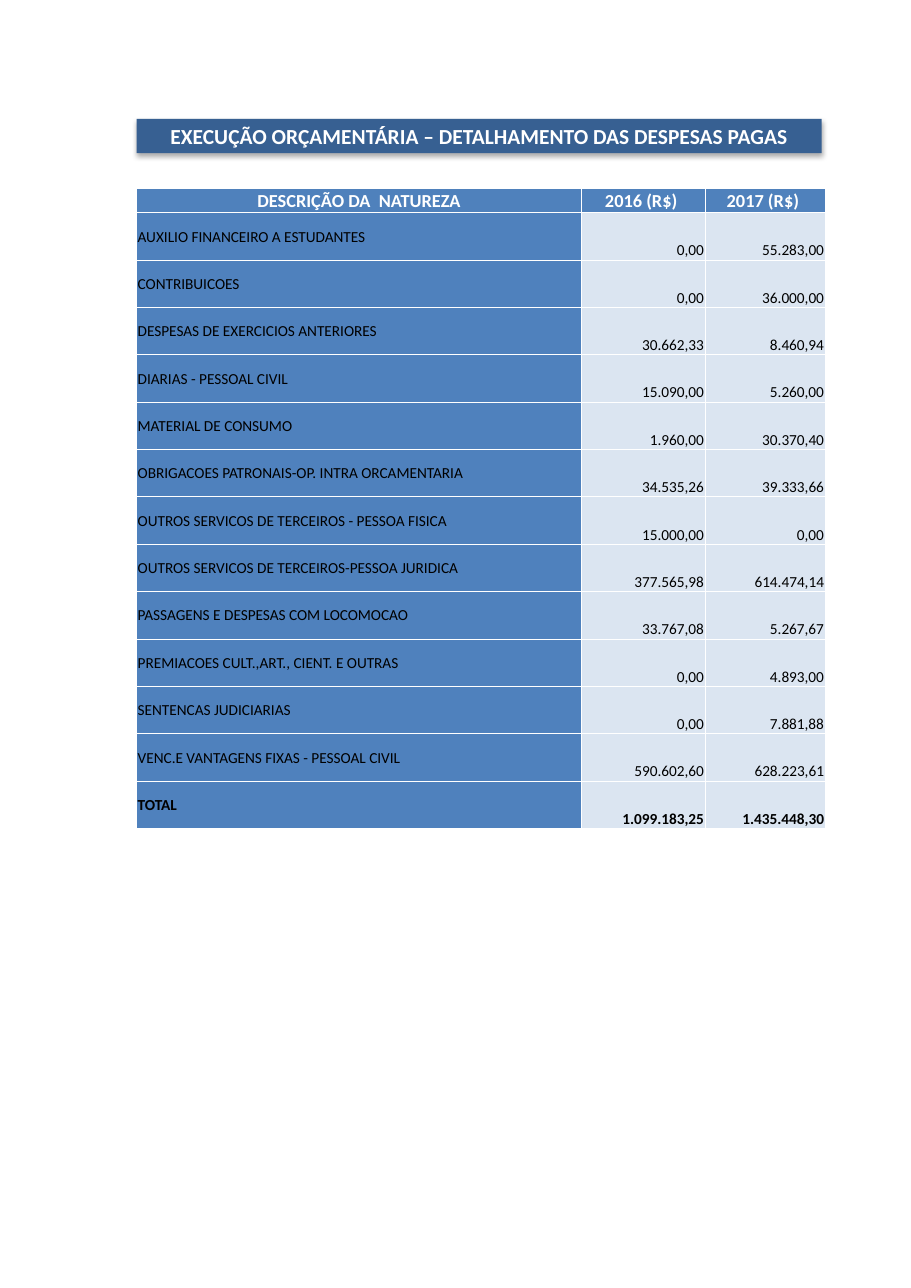
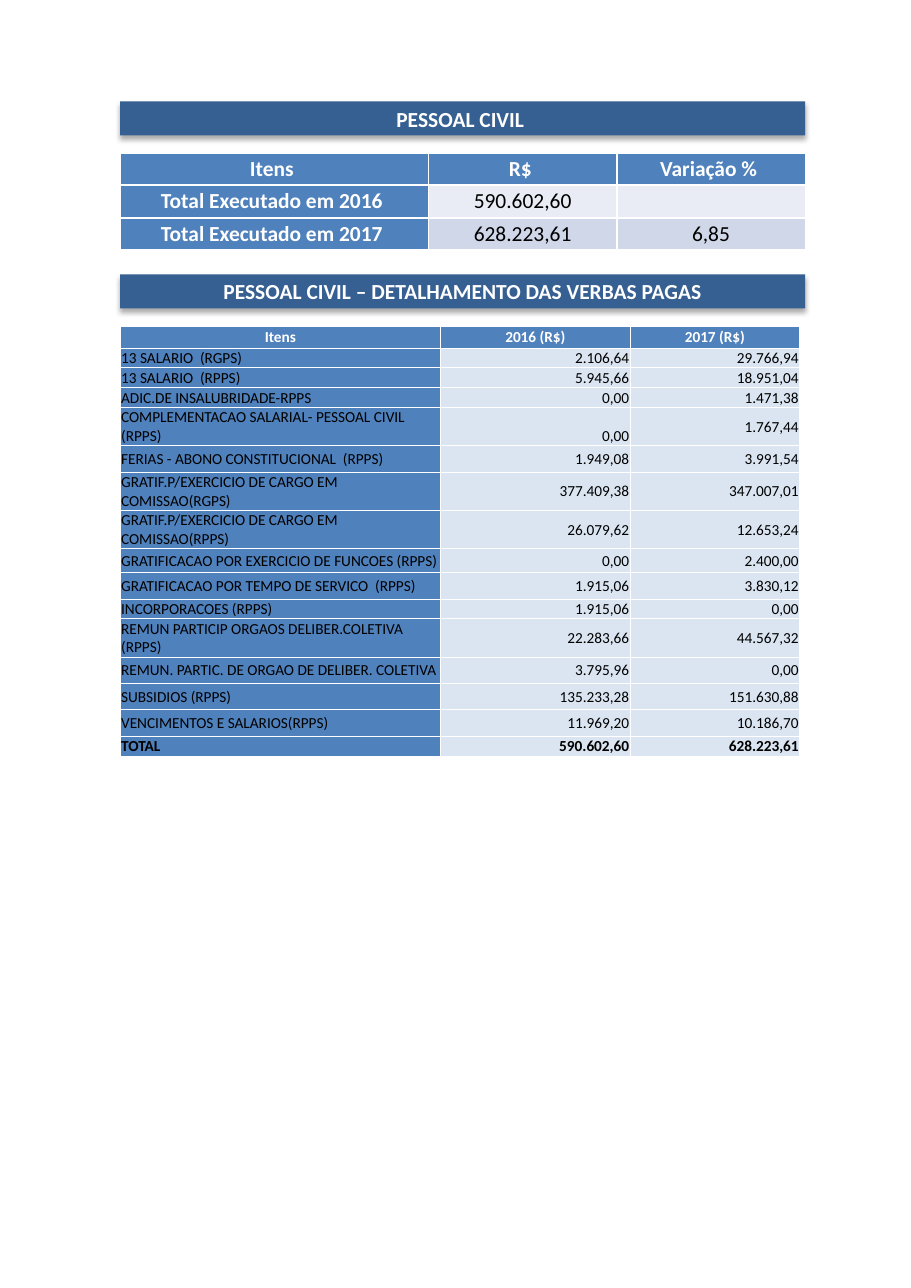
"""Build two budget slides with title bands and expense tables."""
from dataclasses import dataclass

from lxml.etree import SubElement
from pptx import Presentation
from pptx.dml.color import RGBColor
from pptx.enum.shapes import MSO_SHAPE
from pptx.enum.text import MSO_ANCHOR, PP_ALIGN
from pptx.oxml.ns import qn
from pptx.slide import Slide
from pptx.table import _Cell
from pptx.util import Inches, Pt

COLORS = {
    "band": "376092", "header": "4F81BC", "label": "4F81BD", "value": "DBE5F1",
    "odd": "E9ECF4", "even": "D0D7E8", "white": "FFFFFF", "black": "000000",
}
FONT = "Calibri"
BAND_WIDTH, BAND_HEIGHT = 6.22, 0.31
SHADOW = {"blurRad": Pt(3.5), "dist": Pt(2.2), "dir": 5400000, "algn": "ctr", "rotWithShape": 0}


@dataclass(frozen=True)
class Band:
    text: str
    left: float
    top: float


@dataclass(frozen=True)
class TableStyle:
    header_size: int
    body_size: int
    inset: float
    line: float
    header_line: float
    header_fill: str
    label_fill: str
    value_fills: tuple[str, ...]
    label_color: str
    label_bold: bool
    label_align: PP_ALIGN
    value_align: PP_ALIGN
    value_anchor: MSO_ANCHOR


@dataclass(frozen=True)
class TableSpec:
    left: float
    top: float
    columns: tuple[float, ...]
    heights: tuple[float, ...]
    rows: tuple[tuple[str, ...], ...]
    style: TableStyle
    bottom_cells: frozenset[tuple[int, int]] = frozenset()


def color(name: str) -> RGBColor:
    return RGBColor.from_string(COLORS[name])


def write(frame, text: str, size: int, ink: str, bold: bool, align: PP_ALIGN) -> None:
    para = frame.paragraphs[0]
    para.alignment = align
    span = para.add_run()
    span.text = text
    formats = {"name": FONT, "size": Pt(size), "bold": bold}
    for name, value in formats.items():
        setattr(span.font, name, value)
    span.font.color.rgb = color(ink)


def draw_band(page: Slide, band: Band) -> None:
    box = page.shapes.add_shape(
        MSO_SHAPE.RECTANGLE, Inches(band.left), Inches(band.top),
        Inches(BAND_WIDTH), Inches(BAND_HEIGHT))
    box.fill.solid()
    box.fill.fore_color.rgb = color("band")
    box.line.fill.background()
    box.shadow.inherit = False
    effects = box._element.spPr.find(qn("a:effectLst"))
    shadow = SubElement(effects, qn("a:outerShdw"),
                        {name: str(value) for name, value in SHADOW.items()})
    tint = SubElement(shadow, qn("a:srgbClr"), val=COLORS["black"])
    SubElement(tint, qn("a:alpha"), val="32000")
    box.text_frame.word_wrap = True
    box.text_frame.vertical_anchor = MSO_ANCHOR.MIDDLE
    write(box.text_frame, band.text, 14, "white", True, PP_ALIGN.CENTER)


def draw_borders(cell: _Cell, top: float, bottom: float, side: float) -> None:
    properties = cell._tc.get_or_add_tcPr()
    for edge, width in {"L": side, "R": side, "T": top, "B": bottom}.items():
        line = SubElement(properties, qn(f"a:ln{edge}"), w=str(Pt(width)))
        fill = SubElement(line, qn("a:solidFill"))
        SubElement(fill, qn("a:srgbClr"), val=COLORS["white"])


def format_cell(cell: _Cell, text: str, row: int, column: int, spec: TableSpec) -> None:
    style = spec.style
    is_total = spec.rows[row][0] == "TOTAL"
    size, ink, bold = style.body_size, "black", is_total
    if row == 0:
        size, ink, bold = style.header_size, "white", True
        fill, align, anchor = style.header_fill, PP_ALIGN.CENTER, MSO_ANCHOR.MIDDLE
    elif column == 0:
        ink, bold = style.label_color, style.label_bold or is_total
        fill, align, anchor = style.label_fill, style.label_align, MSO_ANCHOR.MIDDLE
    else:
        fill = style.value_fills[(row - 1) % len(style.value_fills)]
        align, anchor = style.value_align, style.value_anchor
    if (row, column) in spec.bottom_cells:
        anchor = MSO_ANCHOR.BOTTOM
    inset = Inches(style.inset)
    formats = {"margin_left": inset, "margin_top": inset, "margin_right": inset,
               "margin_bottom": 0, "vertical_anchor": anchor}
    for name, value in formats.items():
        setattr(cell, name, value)
    draw_borders(cell, style.header_line if row == 1 else style.line,
                 style.header_line if row == 0 else style.line, style.line)
    cell.fill.solid()
    cell.fill.fore_color.rgb = color(fill)
    write(cell.text_frame, text, size, ink, bold, align)


def draw_table(page: Slide, spec: TableSpec) -> None:
    table = page.shapes.add_table(
        len(spec.rows), len(spec.columns), Inches(spec.left), Inches(spec.top),
        Inches(sum(spec.columns)), Inches(sum(spec.heights))).table
    for column, width in zip(table.columns, spec.columns):
        column.width = Inches(width)
    for row, height in zip(table.rows, spec.heights):
        row.height = Inches(height)
    for row, texts in enumerate(spec.rows):
        for column, text in enumerate(texts):
            format_cell(table.cell(row, column), text, row, column, spec)


def ledger_style(header_size: int, header_fill: str, anchor: MSO_ANCHOR) -> TableStyle:
    return TableStyle(header_size, 10, 0.01, 0.5, 0.5, header_fill, "label", ("value",),
                      "black", False, PP_ALIGN.LEFT, PP_ALIGN.RIGHT, anchor)


SUMMARY_STYLE = TableStyle(14, 14, 0, 1, 1.5, "header", "header", ("odd", "even"), "white",
                           True, PP_ALIGN.CENTER, PP_ALIGN.CENTER, MSO_ANCHOR.MIDDLE)

EXPENSES = TableSpec(
    1.24, 1.71, (4.04, 1.12, 1.09), (0.22,) + (0.43,) * 13,
    (
        ("DESCRIÇÃO DA  NATUREZA", "2016 (R$) ", "2017 (R$) "),
        ("AUXILIO FINANCEIRO A ESTUDANTES", "0,00", "55.283,00"),
        ("CONTRIBUICOES", "0,00", "36.000,00"),
        ("DESPESAS DE EXERCICIOS ANTERIORES", "30.662,33", "8.460,94"),
        ("DIARIAS - PESSOAL CIVIL", "15.090,00", "5.260,00"),
        ("MATERIAL DE CONSUMO", "1.960,00", "30.370,40"),
        ("OBRIGACOES PATRONAIS-OP. INTRA ORCAMENTARIA", "34.535,26", "39.333,66"),
        ("OUTROS SERVICOS DE TERCEIROS - PESSOA FISICA", "15.000,00", "0,00"),
        ("OUTROS SERVICOS DE TERCEIROS-PESSOA JURIDICA", "377.565,98", "614.474,14"),
        ("PASSAGENS E DESPESAS COM LOCOMOCAO", "33.767,08", "5.267,67"),
        ("PREMIACOES CULT.,ART., CIENT. E OUTRAS", "0,00", "4.893,00"),
        ("SENTENCAS JUDICIARIAS", "0,00", "7.881,88"),
        ("VENC.E VANTAGENS FIXAS - PESSOAL CIVIL", "590.602,60", "628.223,61"),
        ("TOTAL", "1.099.183,25", "1.435.448,30"),
    ),
    ledger_style(12, "header", MSO_ANCHOR.BOTTOM))

STAFF_SUMMARY = TableSpec(
    1.09, 1.39, (2.8, 1.71, 1.71), (0.29, 0.3, 0.29),
    (
        ("Itens ", "R$ ", "Variação % "),
        ("Total Executado em 2016 ", "590.602,60", ""),
        ("Total Executado em 2017 ", "628.223,61", "6,85"),
    ),
    SUMMARY_STYLE)

STAFF_PAYMENTS = TableSpec(
    1.09, 2.96, (2.91, 1.72, 1.54),
    (0.2,) + (0.16,) * 3 + (0.24,) * 3 + (0.16, 0.22, 0.24, 0.16) + (0.24,) * 4 + (0.16,),
    (
        ("Itens", "2016 (R$)", "2017 (R$)"),
        ("13 SALARIO  (RGPS)", "2.106,64", "29.766,94"),
        ("13 SALARIO  (RPPS)", "5.945,66", "18.951,04"),
        ("ADIC.DE INSALUBRIDADE-RPPS", "0,00", "1.471,38"),
        ("COMPLEMENTACAO SALARIAL- PESSOAL CIVIL (RPPS)", "0,00", "1.767,44"),
        ("FERIAS - ABONO CONSTITUCIONAL  (RPPS)", "1.949,08", "3.991,54"),
        ("GRATIF.P/EXERCICIO DE CARGO EM COMISSAO(RGPS)", "377.409,38", "347.007,01"),
        ("GRATIF.P/EXERCICIO DE CARGO EM COMISSAO(RPPS)", "26.079,62", "12.653,24"),
        ("GRATIFICACAO POR EXERCICIO DE FUNCOES (RPPS)", "0,00", "2.400,00"),
        ("GRATIFICACAO POR TEMPO DE SERVICO  (RPPS)", "1.915,06", "3.830,12"),
        ("INCORPORACOES (RPPS)", "1.915,06", "0,00"),
        ("REMUN PARTICIP ORGAOS DELIBER.COLETIVA (RPPS)", "22.283,66", "44.567,32"),
        ("REMUN. PARTIC. DE ORGAO DE DELIBER. COLETIVA", "3.795,96", "0,00"),
        ("SUBSIDIOS (RPPS)", "135.233,28", "151.630,88"),
        ("VENCIMENTOS E SALARIOS(RPPS)", "11.969,20", "10.186,70"),
        ("TOTAL", "590.602,60", "628.223,61"),
    ),
    ledger_style(10, "label", MSO_ANCHOR.MIDDLE),
    frozenset({(3, 1), (4, 1), (15, 0), (15, 1), (15, 2)}))

PAGES = (
    ((Band("EXECUÇÃO ORÇAMENTÁRIA – DETALHAMENTO DAS DESPESAS PAGAS", 1.24, 1.08),),
     (EXPENSES,)),
    ((Band("PESSOAL CIVIL ", 1.09, 0.92),
      Band("PESSOAL CIVIL – DETALHAMENTO DAS VERBAS PAGAS", 1.09, 2.49)),
     (STAFF_SUMMARY, STAFF_PAYMENTS)),
)

deck = Presentation()
deck.slide_width, deck.slide_height = Inches(8.27), Inches(11.69)
for bands, tables in PAGES:
    page = deck.slides.add_slide(deck.slide_layouts[6])
    for band in bands:
        draw_band(page, band)
    for spec in tables:
        draw_table(page, spec)
deck.save("out.pptx")
